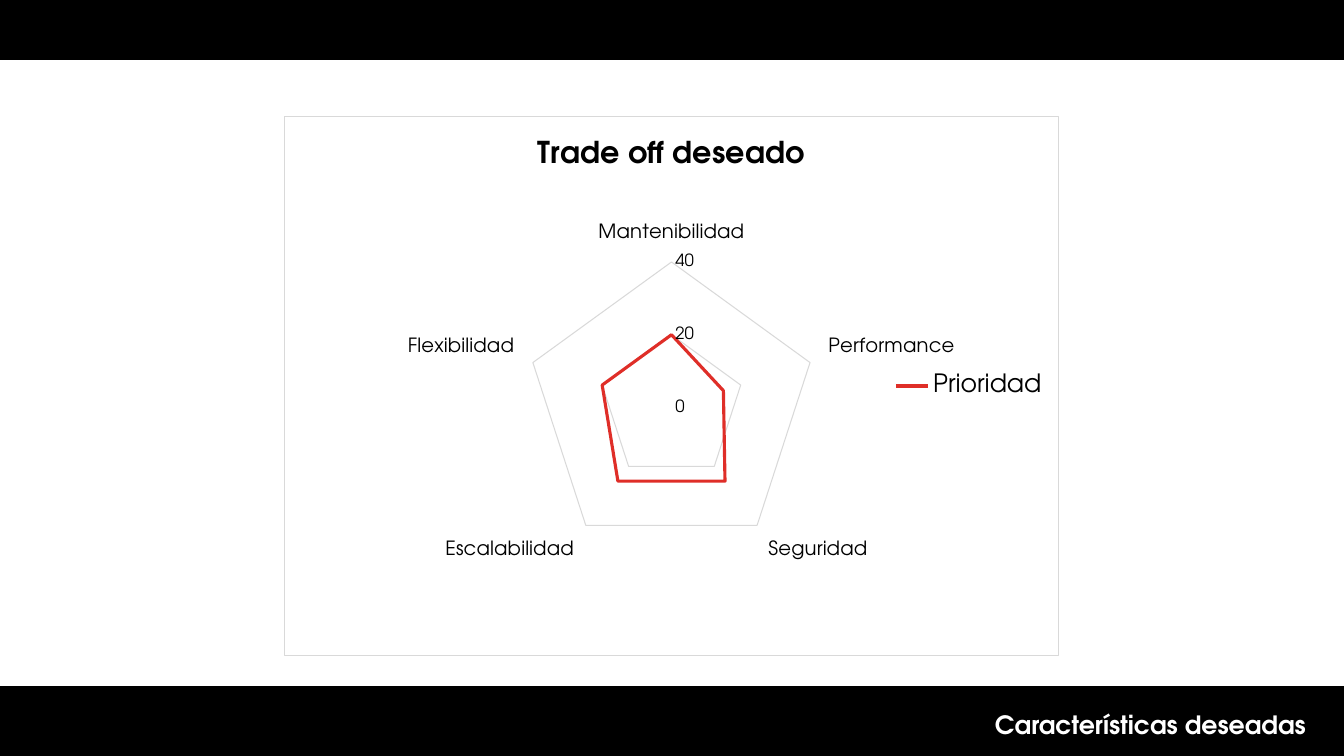
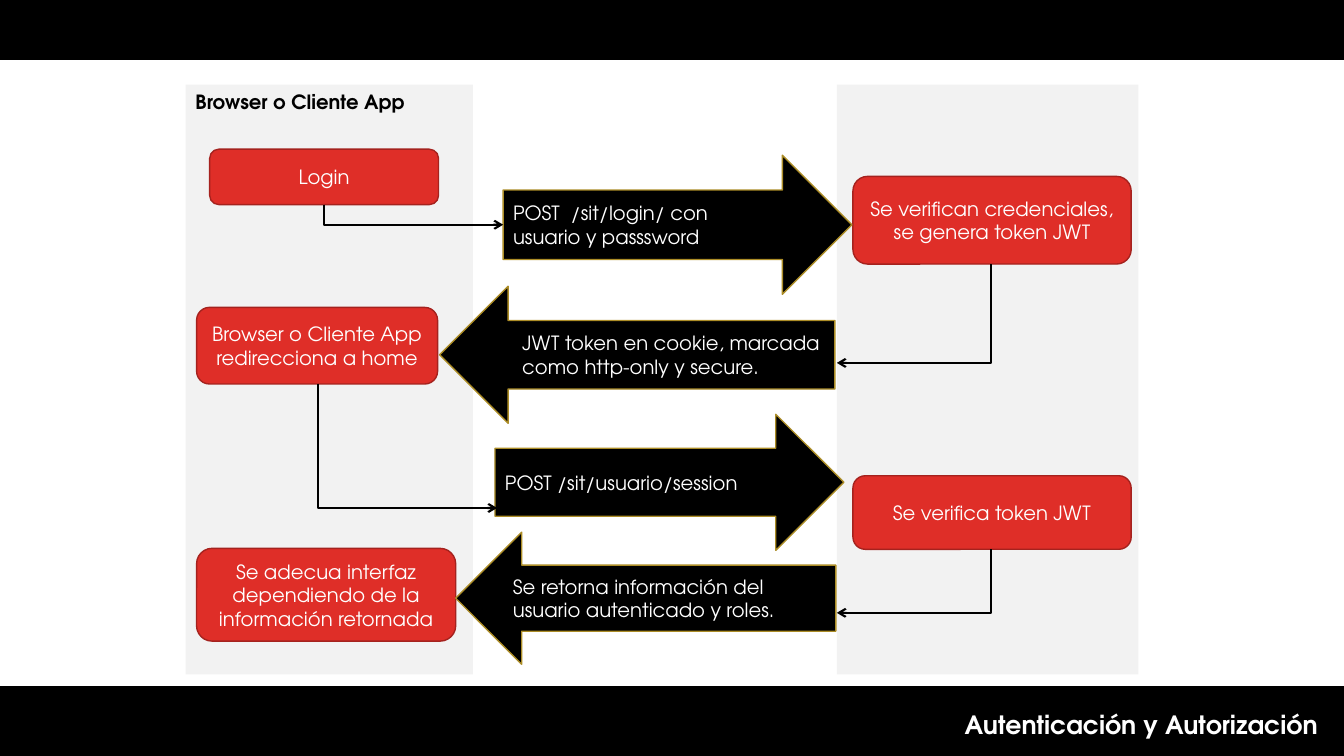
"""Build two slides: a radar chart of desired traits and an authentication flow."""
from lxml import etree
from pptx import Presentation
from pptx.chart.data import CategoryChartData
from pptx.dml.color import RGBColor
from pptx.enum.chart import XL_CHART_TYPE as CT, XL_LEGEND_POSITION as LP, XL_TICK_MARK as TM
from pptx.enum.shapes import MSO_CONNECTOR as MC, MSO_SHAPE as MS
from pptx.enum.text import MSO_ANCHOR as MA, PP_ALIGN as PA
from pptx.oxml import parse_xml
from pptx.oxml.ns import nsdecls, qn
from pptx.util import Inches, Pt

FONT = "TeX Gyre Adventor"
COLORS = {
    "black": "000000",
    "white": "FFFFFF",
    "panel": "F2F2F2",
    "red": "DF2E28",
    "dark_red": "A5221E",
    "gold": "AC8D27",
    "grid": "D9D9D9",
}


def rgb(name):
    """Return the named colour."""
    return RGBColor.from_string(COLORS[name])


def style_font(font, size, color="black", bold=False):
    """Apply the deck font with a size, colour and weight."""
    font.name, font.size, font.bold = FONT, Pt(size), bold
    font.color.rgb = rgb(color)


def style_line(line, color, width):
    """Give a line its colour and width."""
    line.color.rgb = rgb(color)
    line.width = Pt(width)


def set_text(sp, text, size=14, color="white", bold=False, align=PA.LEFT,
             anchor=MA.MIDDLE, left=0.1, right=0.1):
    """Write one formatted paragraph in a shape."""
    tf = sp.text_frame
    tf.word_wrap = True
    tf.vertical_anchor = anchor
    tf.margin_left, tf.margin_right = Inches(left), Inches(right)
    p = tf.paragraphs[0]
    p.text = text
    p.alignment = align
    style_font(p.runs[0].font, size, color, bold)


def add_block(slide, kind, at, fill, line=None):
    """Add a flat preset shape with an optional outline."""
    sp = slide.shapes.add_shape(kind, *map(Inches, at))
    sp.shadow.inherit = False
    sp.fill.solid()
    sp.fill.fore_color.rgb = rgb(fill)
    if line:
        style_line(sp.line, line, 1)
    else:
        sp.line.fill.background()
    return sp


def add_slide(prs, title, left):
    """Add a slide with the white band and its footer title."""
    slide = prs.slides.add_slide(prs.slide_layouts[6])
    add_block(slide, MS.RECTANGLE, (0, 0.6, 13.33, 6.2), "white", "white")
    sp = slide.shapes.add_textbox(Inches(left), Inches(6.99), Inches(13.33 - left), Inches(0.4))
    set_text(sp, title, 18, bold=True, anchor=MA.TOP)
    return slide


def add_step(slide, at, text):
    """Add a red rounded step."""
    sp = add_block(slide, MS.ROUNDED_RECTANGLE, at, "red", "dark_red")
    set_text(sp, text, align=PA.CENTER, left=0.05, right=0.05)


def add_message(slide, kind, at, text, left, right):
    """Add a black block arrow that carries a message."""
    sp = add_block(slide, kind, at, "black", "gold")
    set_text(sp, text, left=left, right=right)


def add_bend(slide, x1, y1, x2, y2):
    """Add an arrow that goes down and then sideways."""
    c = slide.shapes.add_connector(MC.ELBOW, *map(Inches, (x1, y1, x2, y2)))
    w, h = y2 - y1, abs(x2 - x1)
    c.left, c.top = Inches((x1 + x2 - w) / 2), Inches((y1 + y2 - h) / 2)
    c.width, c.height = Inches(w), Inches(h)
    style_line(c.line, "black", 1.5)
    pr = c._element.spPr
    pr.find(qn("a:prstGeom")).set("prst", "bentConnector2")
    xfrm = pr.find(qn("a:xfrm"))
    to_right = x2 > x1
    xfrm.set("rot", "16200000" if to_right else "5400000")
    xfrm.set("flipH", "1" if to_right else "0")
    etree.SubElement(pr.find(qn("a:ln")), qn("a:tailEnd"), type="arrow")
    etree.SubElement(pr, qn("a:effectLst"))


def place_plot(chart, x, y, w, h):
    """Fix the inner plot area as fractions of the chart."""
    plot = chart._chartSpace.find(".//" + qn("c:plotArea"))
    for old in plot.findall(qn("c:layout")):
        plot.remove(old)
    parts = [("layoutTarget", "inner"), ("xMode", "edge"), ("yMode", "edge"),
             ("x", x), ("y", y), ("w", w), ("h", h)]
    inner = "".join(f'<c:{tag} val="{val}"/>' for tag, val in parts)
    plot.insert(0, parse_xml(
        f'<c:layout {nsdecls("c")}><c:manualLayout>{inner}</c:manualLayout></c:layout>'))


def frame_chart(chart):
    """Give the chart a white ground and a thin grey border."""
    chart._chartSpace.find(qn("c:chart")).addnext(parse_xml(
        f'<c:spPr {nsdecls("c", "a")}>'
        f'<a:solidFill><a:srgbClr val="{COLORS["white"]}"/></a:solidFill>'
        f'<a:ln w="{Pt(0.75)}"><a:solidFill><a:srgbClr val="{COLORS["grid"]}"/></a:solidFill></a:ln>'
        '</c:spPr>'))


def add_radar(slide, at, title, name, values):
    """Add a one-series radar chart."""
    data = CategoryChartData()
    data.categories = list(values)
    data.add_series(name, list(values.values()))
    chart = slide.shapes.add_chart(CT.RADAR, *map(Inches, at), data).chart
    style_font(chart.font, 18)
    chart.has_title = True
    p = chart.chart_title.text_frame.paragraphs[0]
    p.text = title
    style_font(p.runs[0].font, 21.6, bold=True)
    chart.has_legend = True
    chart.legend.position = LP.RIGHT
    chart.legend.include_in_layout = False
    style_font(chart.legend.font, 18)
    for axis, size in ((chart.category_axis, 14), (chart.value_axis, 12)):
        axis.major_tick_mark = axis.minor_tick_mark = TM.NONE
        axis.has_major_gridlines = True
        style_line(axis.major_gridlines.format.line, "grid", 0.75)
        axis.format.line.fill.background()
        style_font(axis.tick_labels.font, size)
    va = chart.value_axis
    va.minimum_scale, va.maximum_scale, va.major_unit = 0, 40, 20
    plot = chart.plots[0]
    plot.vary_by_categories = False
    series = plot.series[0]
    series.smooth = False
    style_line(series.format.line, "red", 2.25)
    place_plot(chart, 0.31, 0.27, 0.38, 0.54)
    frame_chart(chart)


def build_traits(prs):
    """Build the slide with the radar chart."""
    slide = add_slide(prs, "Características deseadas", 9.77)
    add_radar(slide, (2.82, 1.15, 7.68, 5.36), "Trade off deseado", "Prioridad", {
        "Mantenibilidad": 20, "Performance": 15, "Seguridad": 25,
        "Escalabilidad": 25, "Flexibilidad": 20})


def build_auth(prs):
    """Build the slide with the authentication flow."""
    slide = add_slide(prs, "Autenticación y Autorización", 9.47)
    client, _ = [add_block(slide, MS.RECTANGLE, (x, 0.84, w, 5.85), "panel")
                 for x, w in ((1.84, 2.85), (8.3, 2.99))]
    set_text(client, "Browser o Cliente App", color="black", bold=True, anchor=MA.TOP)
    for at, text in (
        ((2.08, 1.48, 2.27, 0.55), "Login"),
        ((8.46, 1.75, 2.76, 0.87), "Se verifican credenciales, se genera token JWT"),
        ((1.95, 3.05, 2.39, 0.76), "Browser o Cliente App redirecciona a home"),
        ((8.46, 4.72, 2.76, 0.73), "Se verifica token JWT"),
        ((1.95, 5.44, 2.57, 0.92),
         "Se adecua interfaz dependiendo de la información retornada"),
    ):
        add_step(slide, at, text)
    for kind, at, text, left, right in (
        (MS.RIGHT_ARROW, (4.99, 1.54, 3.46, 1.38),
         "POST  /sit/login/ con usuario y passsword", 0.1, 0.4),
        (MS.LEFT_ARROW, (4.36, 2.84, 3.92, 1.36),
         "JWT token en cookie, marcada como http-only y secure.", 0.48, 0.05),
        (MS.RIGHT_ARROW, (4.91, 4.11, 3.46, 1.35), "POST /sit/usuario/session", 0.1, 0.4),
        (MS.LEFT_ARROW, (4.52, 5.28, 3.77, 1.31),
         "Se retorna información del usuario autenticado y roles.", 0.24, 0.05),
    ):
        add_message(slide, kind, at, text, left, right)
    for ends in ((3.21, 2.03, 4.99, 2.23), (9.83, 2.62, 8.3, 3.6),
                 (3.15, 3.81, 4.93, 5.04), (9.83, 5.45, 8.3, 6.08)):
        add_bend(slide, *ends)


def main():
    """Build and save the deck."""
    prs = Presentation()
    prs.slide_width, prs.slide_height = Inches(13.33), Inches(7.5)
    fill = prs.slide_master.background.fill
    fill.solid()
    fill.fore_color.rgb = rgb("black")
    build_traits(prs)
    build_auth(prs)
    prs.save("out.pptx")


if __name__ == "__main__":
    main()
